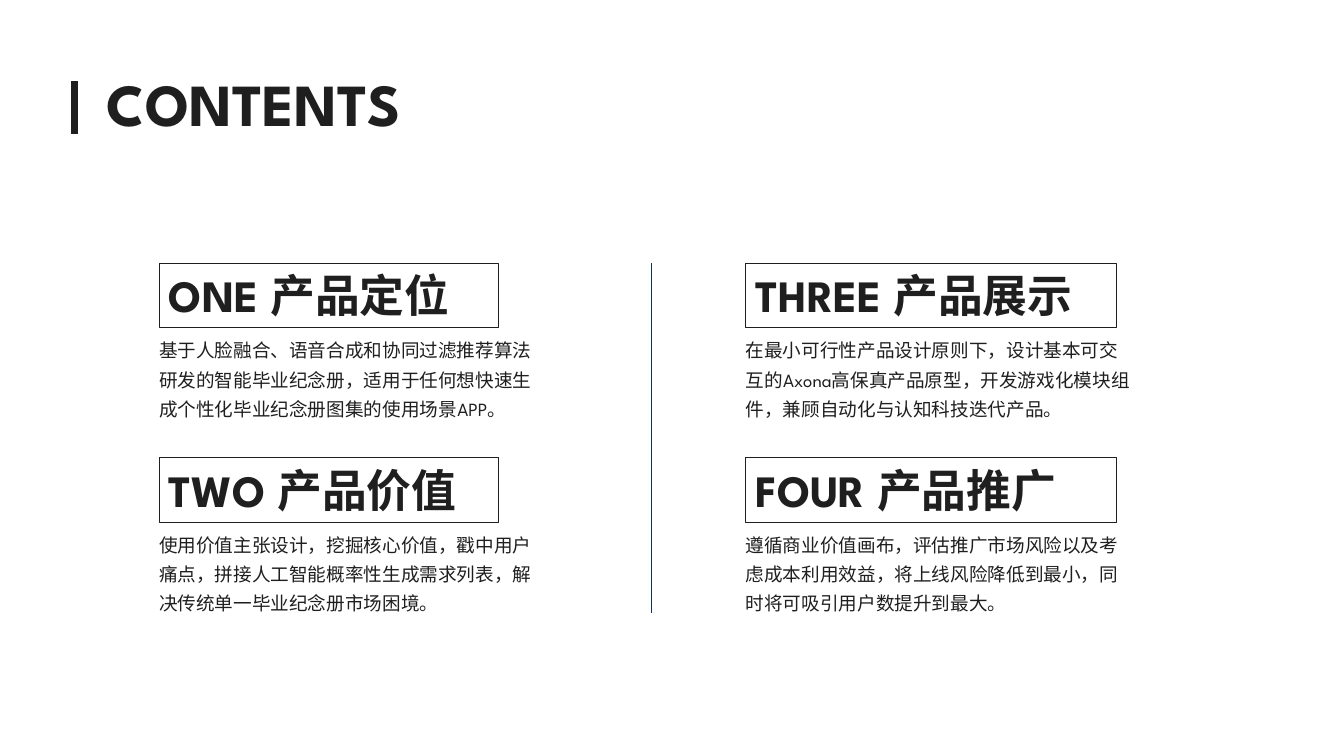
import pptx
import pptx.dml.color
import pptx.enum.shapes
import pptx.enum.text
import pptx.oxml.ns
import pptx.util
import lxml.etree

Cm = pptx.util.Cm
Pt = pptx.util.Pt
FONT = "League Spartan"
INK = "1F1F1F"
NAVY = "103154"

# Left edge and heading width of each column, with its (heading, body) topics
COLUMNS = [
    (4.01, 8.56, [
        ("ONE 产品定位", "基于人脸融合、语音合成和协同过滤推荐算法研发的智能毕业纪念册，"
         "适用于任何想快速生成个性化毕业纪念册图集的使用场景APP。"),
        ("TWO 产品价值", "使用价值主张设计，挖掘核心价值，戳中用户痛点，"
         "拼接人工智能概率性生成需求列表，解决传统单一毕业纪念册市场困境。"),
    ]),
    (18.8, 9.35, [
        ("THREE 产品展示", "在最小可行性产品设计原则下，设计基本可交互的Axona高保真产品原型，"
         "开发游戏化模块组件，兼顾自动化与认知科技迭代产品。"),
        ("FOUR 产品推广", "遵循商业价值画布，评估推广市场风险以及考虑成本利用效益，"
         "将上线风险降低到最小，同时将可吸引用户数提升到最大。"),
    ]),
]
TOP = 6.63
PITCH = 4.91
HEAD = 1.63


def color(code):
    return pptx.dml.color.RGBColor.from_string(code)


def write(shape, text, size, bold=False, wrap=True, gap=1.0):
    frame = shape.text_frame
    frame.word_wrap = wrap
    frame.auto_size = pptx.enum.text.MSO_AUTO_SIZE.NONE
    frame.vertical_anchor = pptx.enum.text.MSO_ANCHOR.TOP
    para = frame.paragraphs[0]
    para.alignment = pptx.enum.text.PP_ALIGN.LEFT
    para.line_spacing = gap
    run = para.add_run()
    run.text = text
    run.font.name = FONT
    run.font.size = Pt(size)
    run.font.bold = bold
    run.font.color.rgb = color(INK)


def rule(slide, left, top, height, code, width):
    """Draw a vertical line."""
    line = slide.shapes.add_connector(
        pptx.enum.shapes.MSO_CONNECTOR.STRAIGHT,
        Cm(left), Cm(top), Cm(left), Cm(top + height))
    line.line.color.rgb = color(code)
    line.line.width = Pt(width)
    props = line._element.spPr
    lxml.etree.SubElement(props, pptx.oxml.ns.qn("a:effectLst"))


def header(slide, left, top, width, height):
    title = slide.shapes.title
    title.left, title.top = Cm(left), Cm(top)
    title.width, title.height = Cm(width), Cm(height)
    write(title, "CONTENTS", 42.6, bold=True, wrap=False)
    rule(slide, left - 0.56, top + 0.48, 1.32, INK, 4.5)


def topic(slide, left, top, width, head, body):
    """Place a framed heading with its paragraph below."""
    frame = slide.shapes.add_shape(
        pptx.enum.shapes.MSO_SHAPE.RECTANGLE,
        Cm(left), Cm(top), Cm(width), Cm(HEAD))
    frame.shadow.inherit = False
    frame.fill.background()
    frame.line.color.rgb = color(INK)
    frame.line.width = Pt(0.75)
    write(frame, head, 32, bold=True)
    note = slide.shapes.add_textbox(
        Cm(left - 0.25), Cm(top + HEAD), Cm(10.31), Cm(2.41))
    write(note, body, 13.3, gap=1.3)


def column(slide, left, top, width, topics):
    for row, (head, body) in enumerate(topics):
        topic(slide, left, top + row * PITCH, width, head, body)


def main():
    deck = pptx.Presentation()
    deck.slide_width, deck.slide_height = Cm(33.88), Cm(19.05)
    slide = deck.slides.add_slide(deck.slide_layouts[5])
    slide.background.fill.solid()
    slide.background.fill.fore_color.rgb = color("FFFFFF")
    header(slide, 2.44, 1.57, 8.08, 2.08)
    for left, width, topics in COLUMNS:
        column(slide, left, TOP, width, topics)
    rule(slide, 16.43, TOP, 8.81, NAVY, 1)
    deck.save("out.pptx")


if __name__ == "__main__":
    main()
